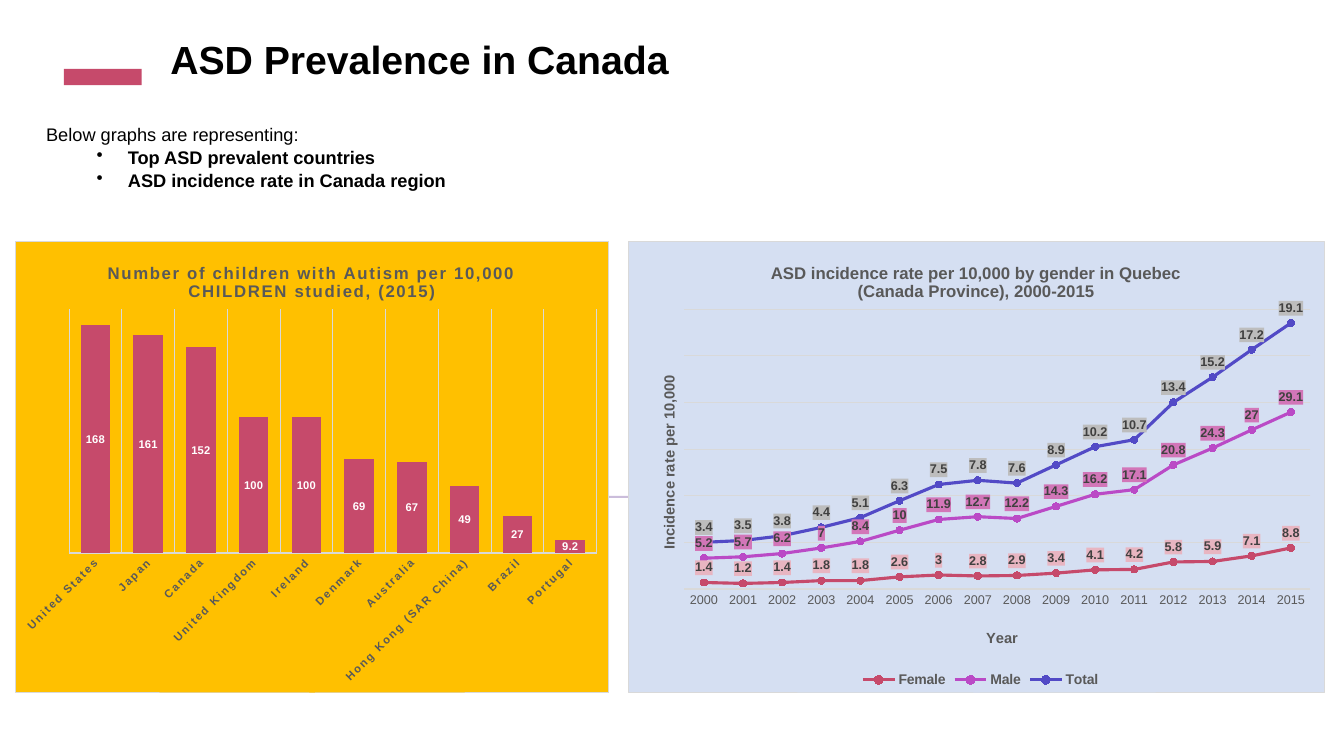
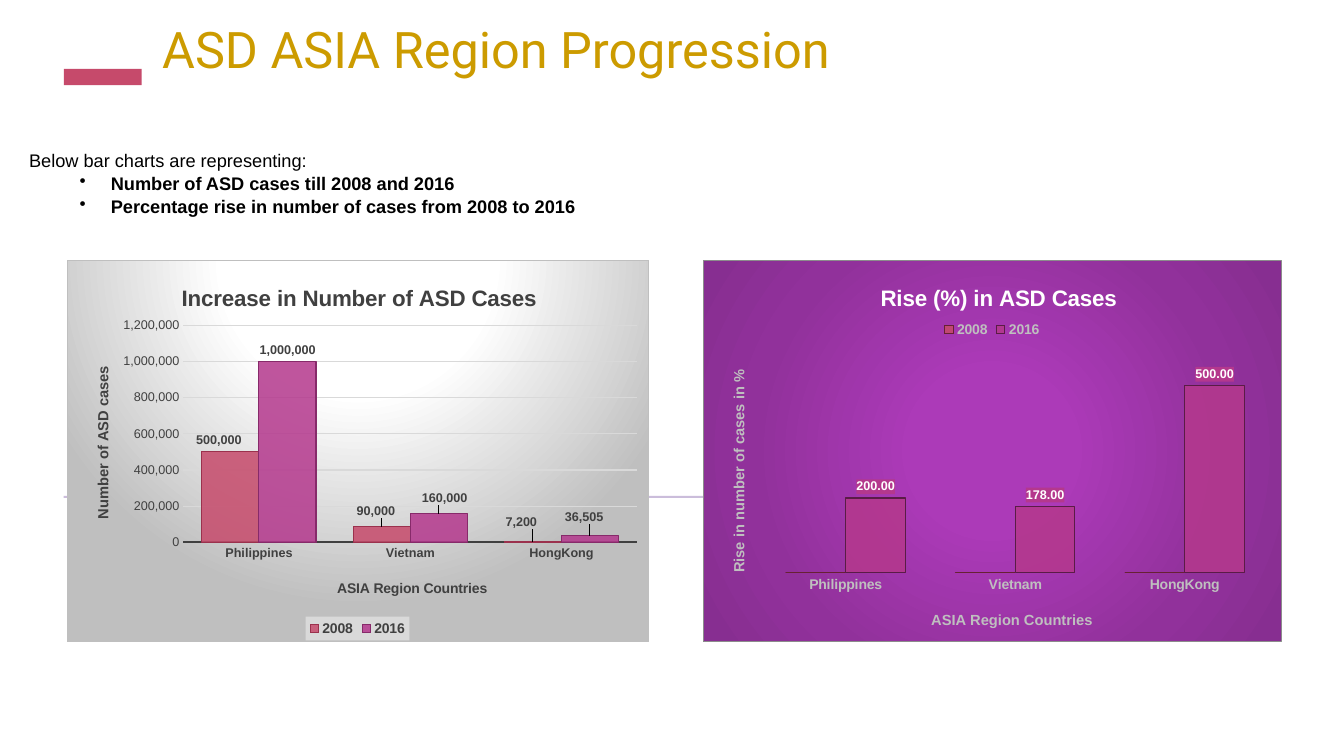
"""Build two slides of charts on autism prevalence in Canada and Asia."""
from copy import deepcopy
from dataclasses import dataclass, field
from typing import Any, NamedTuple, Optional

from pptx import Presentation
from pptx.chart.data import CategoryChartData as ChartData
from pptx.dml.color import RGBColor
from pptx.enum.chart import XL_CHART_TYPE as Kind
from pptx.enum.chart import XL_LABEL_POSITION as LabelSpot
from pptx.enum.chart import XL_LEGEND_POSITION as LegendSpot
from pptx.enum.chart import XL_MARKER_STYLE as Marker
from pptx.enum.chart import XL_TICK_MARK as Tick
from pptx.enum.shapes import MSO_SHAPE as Preset
from pptx.enum.text import MSO_ANCHOR as Anchor
from pptx.oxml import parse_xml
from pptx.oxml.ns import nsdecls, qn
from pptx.util import Inches, Pt


@dataclass(frozen=True)
class Theme:
    """Colours, fonts and type sizes."""
    sans: str = "Arial"
    display: str = "Roboto"
    black: str = "000000"
    white: str = "FFFFFF"
    gold: str = "CC9B00"
    amber: str = "FFC000"
    rose: str = "C64A6B"
    orchid: str = "BA4AC6"
    indigo: str = "524AC6"
    magenta: str = "B4388D"
    lilac: str = "CBBDDB"
    sky: str = "D5DFF2"
    grid: str = "D9D9D9"
    silver: str = "BFBFBF"
    gray: str = "595959"
    dark: str = "404040"
    body: float = 13
    chart_title: float = 12
    big_chart_title: float = 16
    axis_title: float = 10.5
    small: float = 10
    label: float = 9
    tiny: float = 8


class Box(NamedTuple):
    """Left, top, width and height as percent of the slide."""
    left: float
    top: float
    width: float
    height: float


class Spot(NamedTuple):
    """Left and top as shares of a chart, with an optional size."""
    x: float
    y: float
    w: Optional[float] = None
    h: Optional[float] = None


class Caption(NamedTuple):
    """Text of a chart or axis title and where it stands."""
    text: str
    spot: Spot
    size: float


class Line(NamedTuple):
    """Colour and width in points."""
    color: str
    width: float


@dataclass(frozen=True)
class Series:
    """One series with its fill, outline and value labels."""
    name: str
    values: tuple[float, ...]
    color: str
    line: Optional[Line] = None
    opacity: int = 100
    label_ink: Optional[str] = None
    label_fill: Optional[str] = None
    shifts: dict[int, Spot] = field(default_factory=dict)


@dataclass(frozen=True)
class Graph:
    """One chart with its axes, titles and legend."""
    box: Box
    kind: Kind
    categories: tuple[str, ...]
    series: tuple[Series, ...]
    title: Caption
    plot: Spot
    fill: str
    border: Line
    ink: str
    title_ink: str
    top: float
    unit: float
    label_spot: LabelSpot
    tick_size: float = 9
    tick_bold: bool = True
    tracking: int = 0
    turn: int = 0
    gap: Optional[int] = None
    overlap: int = 0
    axis_line: Optional[Line] = None
    cat_grid: bool = False
    value_grid: bool = False
    value_axis: bool = False
    cat_title: Optional[Caption] = None
    value_title: Optional[Caption] = None
    legend: Optional[Spot] = None
    legend_spot: LegendSpot = LegendSpot.BOTTOM
    legend_fill: Optional[str] = None
    number: str = "General"


@dataclass(frozen=True)
class Page:
    """One slide: title, introduction with bullets, and charts."""
    title: str
    title_box: Box
    title_font: dict[str, Any]
    intro: str
    bullets: tuple[str, ...]
    intro_box: Box
    graphs: tuple[Graph, ...]


THEME = Theme()
WIDTH, HEIGHT = Inches(13.33), Inches(7.5)
BANDS = ((Box(4.76, 9.13, 5.78, 2.13), THEME.rose), (Box(4.73, 65.6, 90.55, 0.27), THEME.lilac))
BULLET_LEFT, BULLET_HANG = 6.08, 2.33


def across(percent: float) -> int:
    """Turn a percent of the slide width into a length."""
    return int(WIDTH * percent / 100)


def frame_of(box: Box) -> tuple[int, int, int, int]:
    """Turn a box into lengths."""
    rows = [int(HEIGHT * share / 100) for share in (box.top, box.height)]
    return across(box.left), rows[0], across(box.width), rows[1]


def assign(target: Any, **values: Any) -> None:
    """Set each given attribute."""
    for name, value in values.items():
        setattr(target, name, value)


def style(font: Any, size: float, color: str, bold: bool = False,
          name: str = THEME.sans, tracking: int = 0) -> None:
    """Format a font."""
    assign(font, size=Pt(size), bold=bold, name=name)
    font.color.rgb = RGBColor.from_string(color)
    if tracking:
        font._rPr.set("spc", str(tracking))


def stroke(line: Any, look: Optional[Line]) -> None:
    """Draw a line, or none."""
    if look is None:
        line.fill.background()
        return
    line.width = Pt(look.width)
    line.color.rgb = RGBColor.from_string(look.color)


def solid(color: str) -> str:
    """Give the XML of a plain fill."""
    return f'<a:solidFill><a:srgbClr val="{color}"/></a:solidFill>'


def radial(stops: dict[int, str], centre: tuple[int, ...]) -> str:
    """Give the XML of a circular gradient."""
    marks = "".join(f'<a:gs pos="{at * 1000}"><a:srgbClr val="{color}"/></a:gs>'
                    for at, color in stops.items())
    sides = " ".join(f'{side}="{share * 1000}"' for side, share in zip("ltrb", centre))
    return (f'<a:gradFill rotWithShape="1"><a:gsLst>{marks}</a:gsLst>'
            f'<a:path path="circle"><a:fillToRect {sides}/></a:path></a:gradFill>')


def paint(element: Any, fill: str, border: Optional[Line] = None) -> None:
    """Fill and outline a chart part that already has text properties."""
    edge = f'<a:ln w="{Pt(border.width)}">{solid(border.color)}</a:ln>' if border else ""
    element.find(qn("c:txPr")).addprevious(
        parse_xml(f'<c:spPr {nsdecls("c", "a")}>{fill}{edge}</c:spPr>'))


def layout_of(spot: Spot, edge: bool = True) -> Any:
    """Make a manual layout element."""
    modes = '<c:xMode val="edge"/><c:yMode val="edge"/>' if edge else ""
    target = '<c:layoutTarget val="inner"/>' if spot.w else ""
    sizes = "".join(f'<c:{key} val="{value}"/>' for key, value in spot._asdict().items()
                    if value is not None)
    return parse_xml(f'<c:layout {nsdecls("c")}><c:manualLayout>{target}{modes}{sizes}'
                     "</c:manualLayout></c:layout>")


def place(element: Any, spot: Spot, index: int = 1) -> None:
    """Give a chart part a fixed place."""
    for old in element.findall(qn("c:layout")):
        element.remove(old)
    element.insert(index, layout_of(spot))


def add_caption(title: Any, caption: Caption, ink: str, tracking: int = 0, turn: int = 0) -> None:
    """Write and place a chart or axis title."""
    frame = title.text_frame
    frame.text = caption.text
    for para in frame.paragraphs:
        for font in (para.font, *(span.font for span in para.runs)):
            style(font, caption.size, ink, True, tracking=tracking)
    if turn:
        assign_turn(title._element, qn("a:bodyPr"), turn)
    place(title._element, caption.spot)


def assign_turn(element: Any, tag: str, degrees: int) -> None:
    """Rotate the text of a chart part."""
    body = next(element.iter(tag))
    body.set("rot", str(degrees * 60000))
    body.set("vert", "horz")


def add_labels(series: Any, data: Series, graph: Graph) -> None:
    """Show values beside the points."""
    labels = series.data_labels
    size = THEME.tiny if graph.overlap else THEME.label
    assign(labels, show_value=True, position=graph.label_spot,
           number_format=graph.number, number_format_is_linked=False)
    style(labels.font, size, data.label_ink, True)
    element = labels._element
    if data.label_fill:
        paint(element, solid(data.label_fill))
    shared = [deepcopy(child) for child in element if child.tag != qn("c:showLeaderLines")]
    for order, (index, shift) in enumerate(data.shifts.items()):
        point = parse_xml(f'<c:dLbl {nsdecls("c")}><c:idx val="{index}"/></c:dLbl>')
        point.append(layout_of(shift, edge=False))
        point.extend(deepcopy(shared))
        element.insert(order, point)


def format_series(series: Any, data: Series, graph: Graph) -> None:
    """Colour one series."""
    color = RGBColor.from_string(data.color)
    if graph.gap is None:
        series.smooth = False
        stroke(series.format.line, Line(data.color, 2.25))
        assign(series.marker, style=Marker.CIRCLE, size=5)
        series.marker.format.fill.solid()
        series.marker.format.fill.fore_color.rgb = color
        stroke(series.marker.format.line, Line(data.color, 0.75))
    else:
        series.format.fill.solid()
        series.format.fill.fore_color.rgb = color
        tone = next(series._element.iter(qn("a:srgbClr")))
        tone.append(parse_xml(f'<a:alpha {nsdecls("a")} val="{data.opacity * 1000}"/>'))
        stroke(series.format.line, data.line)
    if data.label_ink:
        add_labels(series, data, graph)


def format_axes(chart: Any, graph: Graph) -> None:
    """Format both axes and their titles."""
    category, value = chart.category_axis, chart.value_axis
    assign(category, major_tick_mark=Tick.NONE, has_major_gridlines=graph.cat_grid)
    assign(value, major_tick_mark=Tick.NONE, has_major_gridlines=graph.value_grid,
           minimum_scale=0, maximum_scale=graph.top, major_unit=graph.unit,
           visible=graph.value_axis)
    assign(value.tick_labels, number_format=graph.number, number_format_is_linked=False)
    style(category.tick_labels.font, graph.tick_size, graph.ink, graph.tick_bold,
          tracking=graph.tracking)
    style(value.tick_labels.font, THEME.label, graph.ink)
    stroke(category.format.line, graph.axis_line)
    stroke(value.format.line, None)
    if graph.turn:
        assign_turn(category._element.find(qn("c:txPr")), qn("a:bodyPr"), graph.turn)
    for axis, caption, turn in ((category, graph.cat_title, 0), (value, graph.value_title, -90)):
        if axis.has_major_gridlines:
            stroke(axis.major_gridlines.format.line, Line(THEME.grid, 0.75))
        if caption:
            add_caption(axis.axis_title, caption, graph.ink, turn=turn)


def add_graph(page: Any, graph: Graph) -> None:
    """Draw one chart."""
    data = ChartData()
    data.categories = graph.categories
    for item in graph.series:
        data.add_series(item.name, item.values)
    chart = page.shapes.add_chart(graph.kind, *frame_of(graph.box), data).chart
    style(chart.font, THEME.small, THEME.black)
    paint(chart._chartSpace, graph.fill, graph.border)
    add_caption(chart.chart_title, graph.title, graph.title_ink, graph.tracking)
    plot = chart.plots[0]
    if graph.gap is not None:
        assign(plot, gap_width=graph.gap, overlap=graph.overlap)
    plot.vary_by_categories = False
    for series, item in zip(plot.series, graph.series):
        format_series(series, item, graph)
    format_axes(chart, graph)
    place(next(chart._chartSpace.iter(qn("c:plotArea"))), graph.plot, 0)
    chart.has_legend = graph.legend is not None
    if graph.legend:
        assign(chart.legend, position=graph.legend_spot, include_in_layout=False)
        style(chart.legend.font, THEME.small, graph.ink, True)
        if graph.legend_fill:
            paint(chart.legend._element, solid(graph.legend_fill))
        place(chart.legend._element, graph.legend)


def add_text(page: Any, box: Box, lines: tuple[str, ...], font: dict[str, Any],
             anchor: Anchor, spacing: float) -> None:
    """Write a text box whose lines after the first are bold bullets."""
    frame = page.shapes.add_textbox(*frame_of(box)).text_frame
    assign(frame, word_wrap=True, vertical_anchor=anchor)
    for index, text in enumerate(lines):
        para = frame.add_paragraph() if index else frame.paragraphs[0]
        para.line_spacing = spacing
        span = para.add_run()
        span.text = text
        style(span.font, **{**font, **({"bold": True} if index else {})})
        if index:
            marks = para._p.get_or_add_pPr()
            marks.set("marL", str(across(BULLET_LEFT)))
            marks.set("indent", str(-across(BULLET_HANG)))
            marks.append(parse_xml(f'<a:buChar {nsdecls("a")} char="•"/>'))


def add_page(deck: Any, content: Page) -> None:
    """Draw one slide."""
    page = deck.slides.add_slide(deck.slide_layouts[6])
    for box, color in BANDS:
        band = page.shapes.add_shape(Preset.RECTANGLE, *frame_of(box))
        band.shadow.inherit = False
        band.fill.solid()
        band.fill.fore_color.rgb = RGBColor.from_string(color)
        stroke(band.line, None)
    add_text(page, content.title_box, (content.title,), content.title_font, Anchor.BOTTOM, 0.9)
    for graph in content.graphs:
        add_graph(page, graph)
    add_text(page, content.intro_box, (content.intro, *content.bullets),
             {"size": THEME.body, "color": THEME.black}, Anchor.TOP, 1.05)


COUNTRIES = Graph(
    Box(1.13, 31.87, 44.19, 59.87), Kind.COLUMN_STACKED,
    ("United States", "Japan", "Canada", "United Kingdom", "Ireland", "Denmark", "Australia",
     "Hong Kong (SAR China)", "Brazil", "Portugal"),
    (Series("Series 1", (168, 161, 152, 100, 100, 69, 67, 49, 27, 9.2), THEME.rose,
            label_ink=THEME.white),),
    Caption("Number of children with Autism per 10,000 CHILDREN studied, (2015)",
            Spot(0.15, 0.04), THEME.chart_title),
    Spot(0.09, 0.15, 0.89, 0.54), solid(THEME.amber), Line(THEME.grid, 0.75), THEME.gray,
    THEME.gray, 180, 20, LabelSpot.CENTER, tick_size=THEME.tiny, tracking=120, turn=-45,
    gap=79, overlap=100, axis_line=Line(THEME.grid, 1), cat_grid=True)
QUEBEC = Graph(
    Box(46.74, 31.87, 51.84, 59.87), Kind.LINE_MARKERS_STACKED,
    tuple(str(year) for year in range(2000, 2016)),
    (Series("Female", (1.4, 1.2, 1.4, 1.8, 1.8, 2.6, 3, 2.8, 2.9, 3.4, 4.1, 4.2, 5.8, 5.9, 7.1,
                       8.8), THEME.rose, label_ink=THEME.dark, label_fill="E8B5C1"),
     Series("Male", (5.2, 5.7, 6.2, 7, 8.4, 10, 11.9, 12.7, 12.2, 14.3, 16.2, 17.1, 20.8, 24.3,
                     27, 29.1), THEME.orchid, label_ink=THEME.dark, label_fill="D276B8"),
     Series("Total", (3.4, 3.5, 3.8, 4.4, 5.1, 6.3, 7.5, 7.8, 7.6, 8.9, 10.2, 10.7, 13.4, 15.2,
                      17.2, 19.1), THEME.indigo, label_ink=THEME.dark, label_fill="BDBDBD")),
    Caption("ASD incidence rate\u00a0per 10,000\u00a0by gender in Quebec\n"
            "(Canada Province),\u00a02000-2015", Spot(0.2, 0.04), THEME.chart_title),
    Spot(0.08, 0.15, 0.9, 0.62), solid(THEME.sky), Line(THEME.grid, 0.75), THEME.gray,
    THEME.gray, 60, 10, LabelSpot.ABOVE, tick_bold=False, axis_line=Line(THEME.grid, 0.75),
    value_grid=True, cat_title=Caption("Year", Spot(0.51, 0.85), THEME.axis_title),
    value_title=Caption("Incidence rate per 10,000", Spot(0.04, 0.29), THEME.axis_title),
    legend=Spot(0.33, 0.95))
REGIONS = ("Philippines", "Vietnam", "HongKong")
CASES = Graph(
    Box(4.95, 34.4, 43.36, 50.53), Kind.COLUMN_CLUSTERED, REGIONS,
    (Series("2008", (500000, 90000, 7200), THEME.rose, Line("9B314D", 0.75), 85, THEME.dark,
            shifts={0: Spot(-0.02, 0), 1: Spot(-0.01, -0.01), 2: Spot(-0.02, -0.02)}),
     Series("2016", (1000000, 160000, 36505), THEME.magenta, Line("872A6A", 0.75), 85,
            THEME.dark, shifts={1: Spot(0.01, -0.01), 2: Spot(-0.01, -0.02)})),
    Caption("Increase in Number of ASD Cases", Spot(0.19, 0.05), THEME.big_chart_title),
    Spot(0.2, 0.17, 0.78, 0.57),
    radial({0: THEME.white, 39: THEME.white, 100: THEME.silver}, (50, -80, 50, 180)),
    Line(THEME.silver, 0.75), THEME.dark, THEME.dark, 1200000, 200000, LabelSpot.OUTSIDE_END,
    gap=65, axis_line=Line(THEME.dark, 1.5), value_grid=True, value_axis=True,
    cat_title=Caption("ASIA Region Countries", Spot(0.46, 0.83), THEME.small),
    value_title=Caption("Number of ASD cases", Spot(0.04, 0.27), THEME.axis_title),
    legend=Spot(0.41, 0.94), legend_fill=THEME.grid, number="#,##0")
RISE = Graph(
    Box(52.29, 34.4, 43.06, 50.53), Kind.COLUMN_CLUSTERED, REGIONS,
    (Series("2008", (0, 0, 0), THEME.rose, Line("672133", 0.75), 88),
     Series("2016", (200, 178, 500), THEME.magenta, Line("5A1C46", 0.75), 88, THEME.white,
            THEME.magenta)),
    Caption("Rise (%) in ASD Cases", Spot(0.3, 0.05), THEME.big_chart_title),
    Spot(0.1, 0.23, 0.88, 0.59),
    radial({0: "AC3AB8", 23: "AC3AB8", 69: "91319B", 97: "872E91"}, (50, 50, 50, 50)),
    Line("8C8C8C", 0.5), THEME.silver, THEME.white, 600, 100, LabelSpot.OUTSIDE_END,
    tick_size=THEME.small, gap=84,
    cat_title=Caption("ASIA Region Countries", Spot(0.39, 0.91), THEME.axis_title),
    value_title=Caption("Rise in number of cases in %", Spot(0.04, 0.28), THEME.axis_title),
    legend=Spot(0.41, 0.15), legend_spot=LegendSpot.TOP, number="#,##0.00")
PAGES = (
    Page("ASD Prevalence in Canada", Box(11.93, 1.6, 66.77, 10),
         {"size": 28, "color": THEME.black, "bold": True}, "Below graphs are representing:",
         ("Top ASD prevalent countries", "ASD incidence rate in Canada region"),
         Box(2.7, 15.47, 94.6, 10.13), (COUNTRIES, QUEBEC)),
    Page("ASD ASIA Region Progression", Box(11.33, 1.2, 66.77, 10),
         {"size": 36, "color": THEME.gold, "name": THEME.display},
         "Below bar charts are representing:",
         ("Number of ASD cases till 2008 and 2016",
          "Percentage rise in number of cases from 2008 to 2016"),
         Box(1.43, 18.93, 94.07, 10.13), (CASES, RISE)),
)


def main() -> None:
    """Build and save the deck."""
    deck = Presentation()
    assign(deck, slide_width=WIDTH, slide_height=HEIGHT)
    for content in PAGES:
        add_page(deck, content)
    deck.save("out.pptx")


main()
